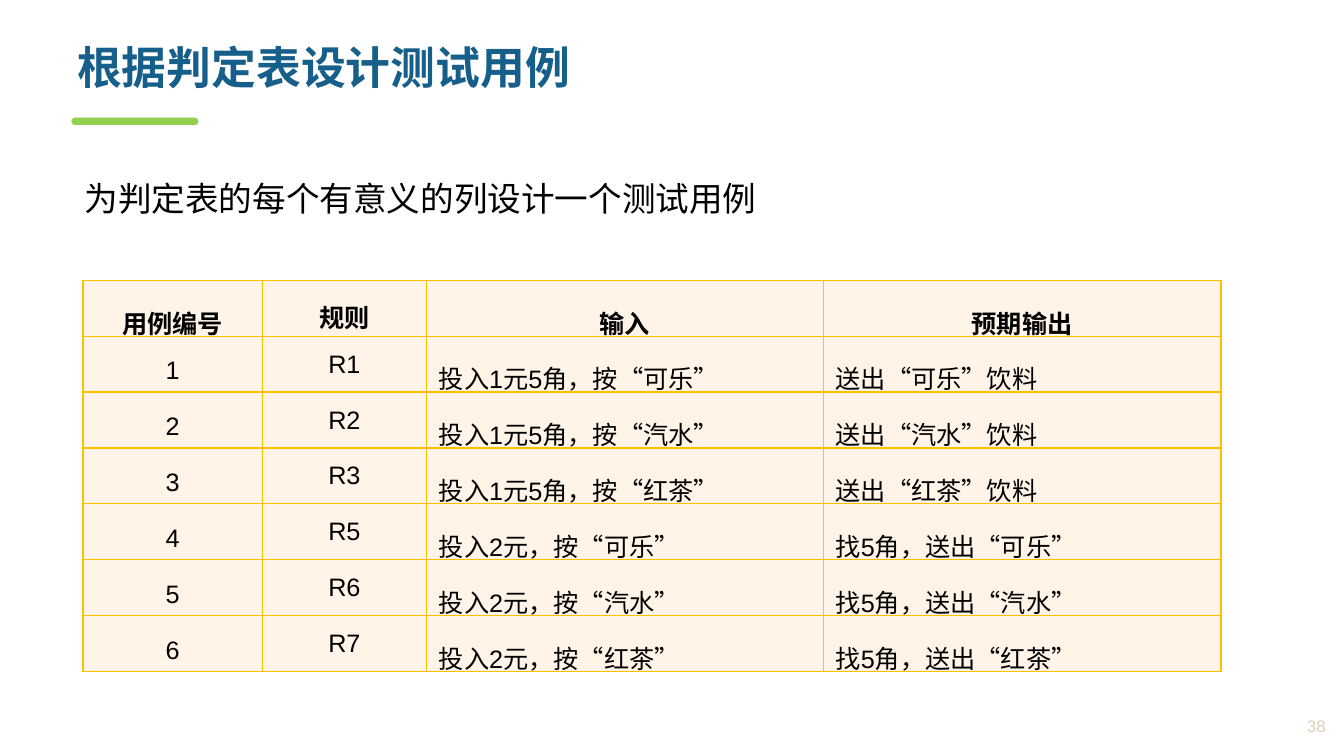
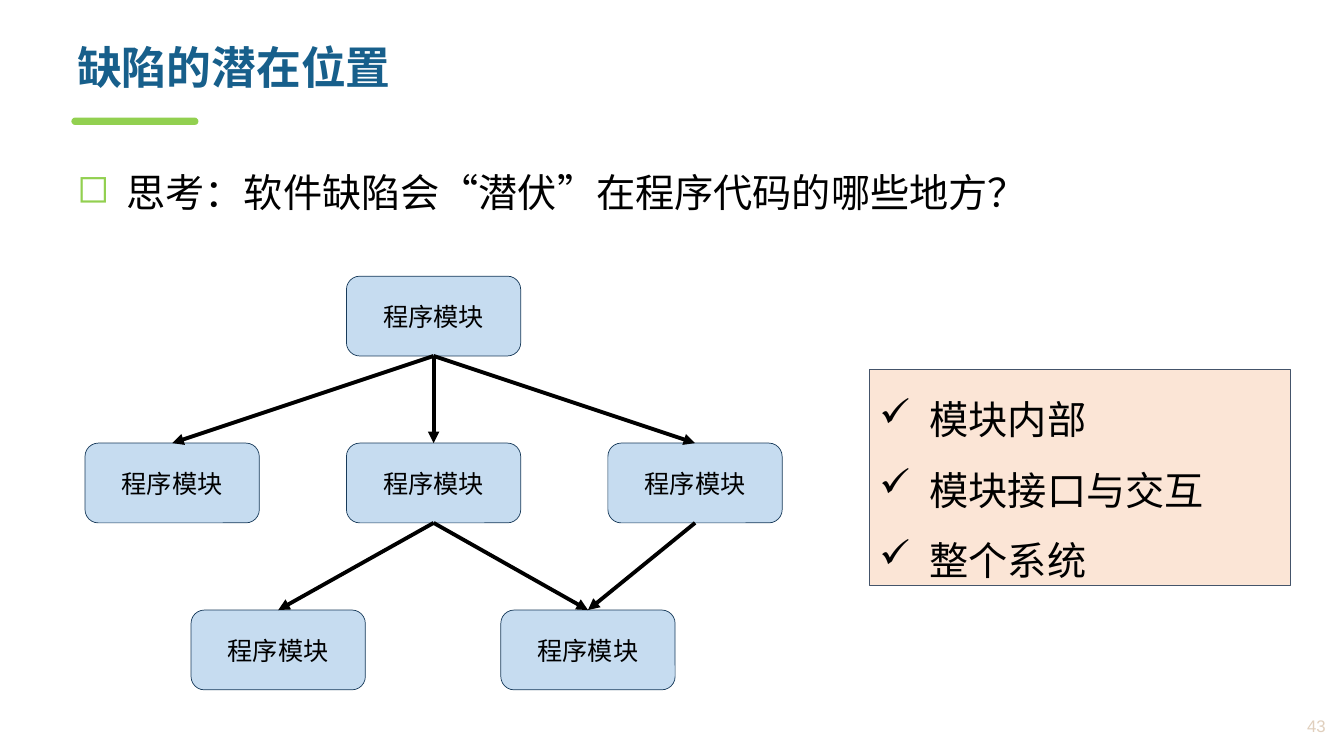
from lxml import etree
from pptx import Presentation
from pptx import util as u
from pptx.dml import color
from pptx.enum import shapes, text
from pptx.oxml import ns

PX = 9525
ALIGN = text.PP_ALIGN
MIDDLE = text.MSO_ANCHOR.MIDDLE
TOP = text.MSO_ANCHOR.TOP
SHAPE = shapes.MSO_SHAPE


def px(*lengths):
    return [u.Emu(n * PX) for n in lengths]


def rgb(value):
    return color.RGBColor.from_string(value)


def add_xml(parent, tag, **attrs):
    return etree.SubElement(parent, ns.qn(tag), **attrs)


class Deck:
    """Hold the deck style and the slide being built."""

    LATIN, CJK = "Arial", "Noto Sans CJK SC"
    BLACK, BLUE, GREEN, MUTED = "000000", "175F8B", "92D050", "E0CFBD"
    MODULE_FILL, MODULE_LINE = "C6DCF0", "173A5A"
    PANEL_FILL, PANEL_LINE = "FBE5D6", "44546A"
    CELL_FILL, CELL_LINE = "FFF4E7", "FFC000"

    def __init__(self):
        self.prs = Presentation()
        self.prs.slide_width, self.prs.slide_height = px(1280, 720)

    def slide(self, title, number):
        self.s = self.prs.slides.add_slide(self.prs.slide_layouts[6])
        bar = self.shape(SHAPE.ROUND_2_SAME_RECTANGLE, (68, 112, 121, 7), self.GREEN)
        bar.adjustments[0] = bar.adjustments[1] = 0.5
        self.textbox((64, 39, 1170, 72), title, size=32, font=self.CJK,
                     ink=self.BLUE, bold=True, spacing=0.9)
        self.textbox((1164, 673, 108, 36), number, anchor=MIDDLE, size=12,
                     ink=self.MUTED, align=ALIGN.RIGHT)

    def paragraphs(self, tf, lines, size=18, font=LATIN, ink=BLACK, bold=False,
                   align=ALIGN.LEFT, spacing=None, after=None,
                   bullet=None, bullet_ink=None, indent=0):
        for i, line in enumerate(lines):
            p = tf.paragraphs[0] if i == 0 else tf.add_paragraph()
            p.alignment = align
            if spacing:
                p.line_spacing = spacing
            if after:
                p.space_after = u.Pt(after)
            if bullet:
                pPr = p._p.get_or_add_pPr()
                pPr.set("marL", str(indent * PX))
                pPr.set("indent", str(-indent * PX))
                if bullet_ink:
                    add_xml(add_xml(pPr, "a:buClr"), "a:srgbClr", val=bullet_ink)
                add_xml(pPr, "a:buChar", char=bullet)
            r = p.add_run()
            r.text = line
            r.font.size, r.font.bold, r.font.name = u.Pt(size), bold, font
            r.font.color.rgb = rgb(ink)
            add_xml(r._r.get_or_add_rPr(), "a:ea", typeface=self.CJK)

    def textbox(self, box, line, anchor=TOP, **style):
        tf = self.s.shapes.add_textbox(*px(*box)).text_frame
        tf.word_wrap, tf.vertical_anchor = True, anchor
        self.paragraphs(tf, [line], **style)

    def shape(self, kind, box, fill, line=None):
        sp = self.s.shapes.add_shape(kind, *px(*box))
        sp.shadow.inherit = False
        sp.fill.solid()
        sp.fill.fore_color.rgb = rgb(fill)
        if line:
            sp.line.color.rgb, sp.line.width = rgb(line), u.Pt(0.5)
        else:
            sp.line.fill.background()
        return sp

    def module(self, x, y):
        sp = self.shape(SHAPE.ROUNDED_RECTANGLE, (x, y, 166, 76),
                        self.MODULE_FILL, self.MODULE_LINE)
        sp.text_frame.vertical_anchor = MIDDLE
        self.paragraphs(sp.text_frame, ["程序模块"], font=self.CJK, align=ALIGN.CENTER)
        return sp

    def checklist(self, box, lines):
        sp = self.shape(SHAPE.RECTANGLE, box, self.PANEL_FILL, self.PANEL_LINE)
        sp.text_frame.vertical_anchor = MIDDLE
        self.paragraphs(sp.text_frame, lines, size=28, font=self.CJK,
                        align=ALIGN.JUSTIFY, spacing=1.5, bullet="✓", indent=48)

    def arrow(self, parent, child):
        c = self.s.shapes.add_connector(shapes.MSO_CONNECTOR.STRAIGHT, 0, 0, 0, 0)
        c.begin_connect(parent, 2)
        c.end_connect(child, 0)
        c.line.color.rgb, c.line.width = rgb(self.BLACK), u.Pt(2.75)
        spPr = c._element.spPr
        add_xml(spPr.find(ns.qn("a:ln")), "a:tailEnd", type="triangle")
        add_xml(spPr, "a:effectLst")

    def cell(self, cell, line, heading, column):
        tcPr = cell._tc.get_or_add_tcPr()
        for side in "LRTB":
            ln = add_xml(tcPr, f"a:ln{side}", w=str(u.Pt(1)))
            add_xml(add_xml(ln, "a:solidFill"), "a:srgbClr", val=self.CELL_LINE)
        cell.fill.solid()
        cell.fill.fore_color.rgb = rgb(self.CELL_FILL)
        is_rule = column == 1
        across, down = px(0, 0) if is_rule else px(12, 5)
        cell.margin_left = cell.margin_right = across
        cell.margin_top = cell.margin_bottom = down
        cell.vertical_anchor = TOP if is_rule else MIDDLE
        align = ALIGN.CENTER if heading or column < 2 else ALIGN.JUSTIFY
        self.paragraphs(cell.text_frame, [line], bold=heading, align=align, spacing=1.5)

    def table(self, x, y, widths, row_height, rows):
        box = px(x, y, sum(widths), row_height * len(rows))
        table = self.s.shapes.add_table(len(rows), len(widths), *box).table
        table.first_row = table.horz_banding = False
        for column, width in zip(table.columns, px(*widths)):
            column.width = width
        for i, row in enumerate(rows):
            table.rows[i].height = px(row_height)[0]
            for j, line in enumerate(row):
                self.cell(table.cell(i, j), line, i == 0, j)


def test_cases(deck):
    deck.slide("根据判定表设计测试用例", "38")
    deck.textbox((71, 165, 665, 48), "为判定表的每个有意义的列设计一个测试用例", size=24)
    deck.table(79, 267, (171, 156, 378, 379), 53, [
        ("用例编号", "规则", "输入", "预期输出"),
        ("1", "R1", "投入1元5角，按“可乐”", "送出“可乐”饮料"),
        ("2", "R2", "投入1元5角，按“汽水”", "送出“汽水”饮料"),
        ("3", "R3", "投入1元5角，按“红茶”", "送出“红茶”饮料"),
        ("4", "R5", "投入2元，按“可乐”", "找5角，送出“可乐”"),
        ("5", "R6", "投入2元，按“汽水”", "找5角，送出“汽水”"),
        ("6", "R7", "投入2元，按“红茶”", "找5角，送出“红茶”"),
    ])


def defect_places(deck):
    deck.slide("缺陷的潜在位置", "43")
    deck.textbox((64, 142, 1171, 83), "思考：软件缺陷会“潜伏”在程序代码的哪些地方？",
                 size=28, spacing=1.3, after=3,
                 bullet="◻", bullet_ink=deck.GREEN, indent=47)
    levels = [(330,), (81, 330, 579), (182, 477)]
    (root,), (left, centre, right), (low_left, low_right) = [
        [deck.module(x, 263 + 159 * i) for x in level]
        for i, level in enumerate(levels)]
    deck.checklist((828, 352, 401, 206), ["模块内部", "模块接口与交互", "整个系统"])
    for parent, child in [(root, left), (root, centre), (root, right),
                          (centre, low_left), (centre, low_right), (right, low_right)]:
        deck.arrow(parent, child)


def main():
    deck = Deck()
    test_cases(deck)
    defect_places(deck)
    deck.prs.save("out.pptx")


if __name__ == "__main__":
    main()
